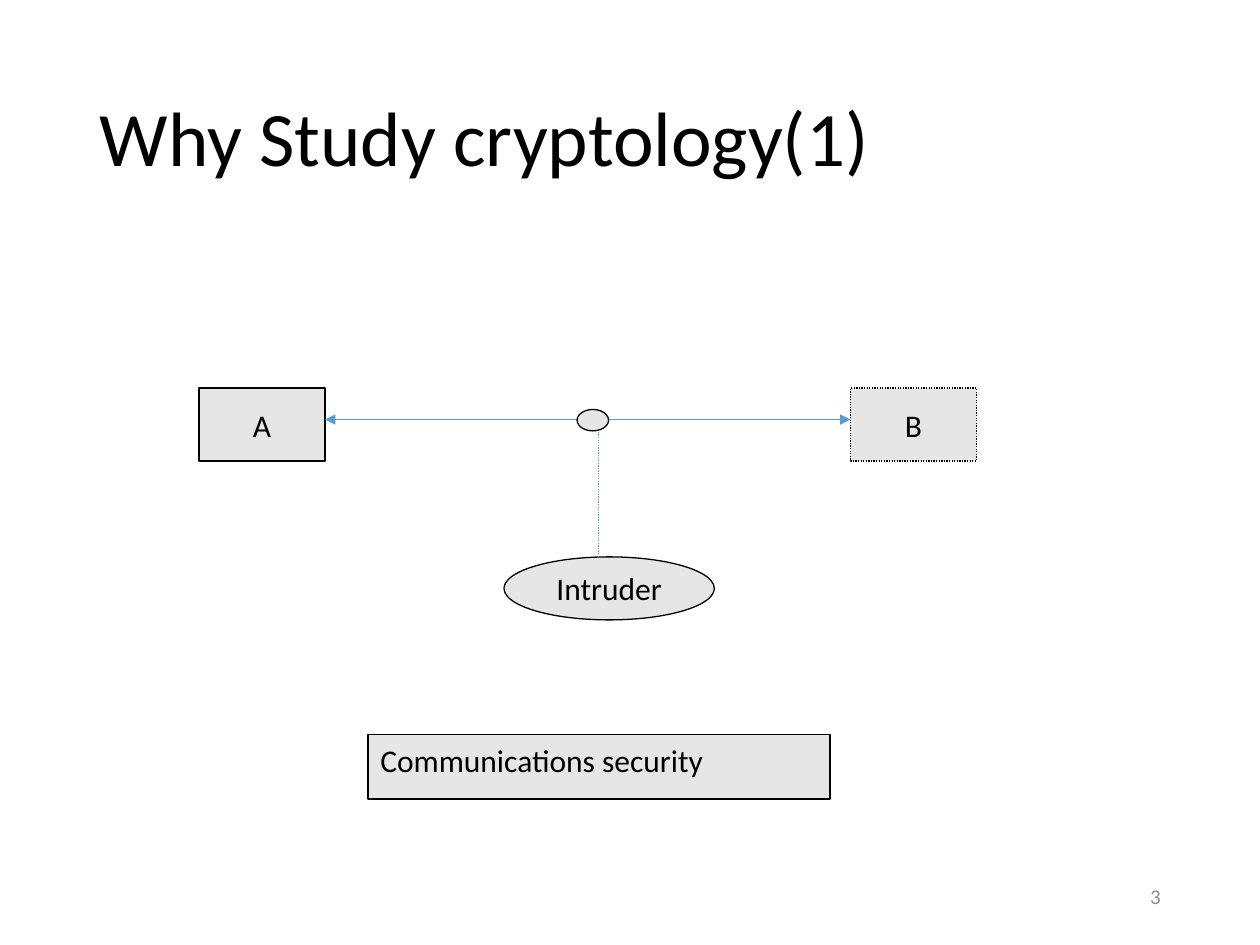
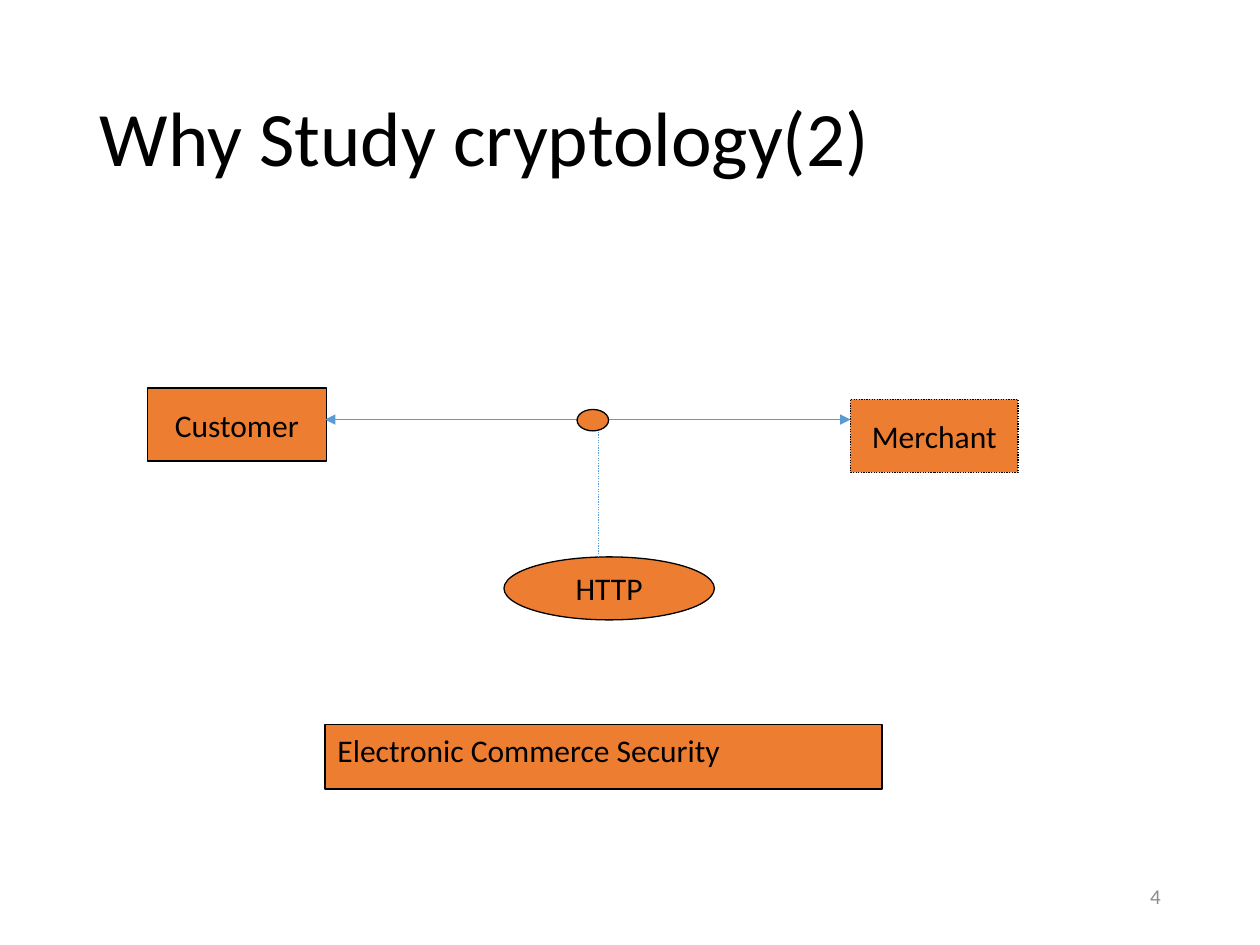
from lxml import etree
from pptx import Presentation
from pptx.dml.color import RGBColor
from pptx.enum.dml import MSO_LINE
from pptx.enum.shapes import MSO_CONNECTOR, MSO_SHAPE
from pptx.enum.text import MSO_ANCHOR, PP_ALIGN
from pptx.oxml import parse_xml
from pptx.oxml.ns import nsdecls, qn
from pptx.util import Inches, Pt

FONT = "Calibri"
BLACK, GREY, BLUE = "000000", "8C8C8C", "5B9BD5"
FIRST_NUMBER = 3

TITLE_AREA = (0.69, 0.4, 8.62, 1.45)
NUMBER_AREA = (7.06, 6.91, 2.25, 0.4)
TAP_AREA = (4.58, 3.25, 0.25, 0.17)
MIDDLE_AREA = (4, 4.42, 1.67, 0.5)
CHANNEL = ((2.58, 3.33), (6.75, 3.33))
TAP_LINE = ((4.75, 4.42), (4.75, 3.42))

SLIDES = [
    {
        "title": "Why Study cryptology(1)",
        "fill": "E7E6E6",
        "sender": ("A", (1.58, 3.08, 1, 0.58)),
        "receiver": ("B", (6.75, 3.08, 1, 0.58)),
        "middle": "Intruder",
        "caption": ("Communications security", (2.92, 5.83, 3.67, 0.51)),
    },
    {
        "title": "Why Study cryptology(2)",
        "fill": "ED7D31",
        "sender": ("Customer", (1.17, 3.08, 1.42, 0.58)),
        "receiver": ("Merchant", (6.75, 3.17, 1.33, 0.58)),
        "middle": "HTTP",
        "caption": ("Electronic Commerce Security", (2.58, 5.75, 4.42, 0.51)),
    },
]


def color(value):
    return RGBColor.from_string(value)


def inches(values):
    return [Inches(value) for value in values]


def style_para(para, size, tint=BLACK, align=PP_ALIGN.LEFT):
    para.alignment = align
    para.font.name = FONT
    para.font.size = Pt(size)
    para.font.color.rgb = color(tint)


def style_line(line, tint, width=0.75, dotted=False):
    line.color.rgb = color(tint)
    line.width = Pt(width)
    if dotted:
        line.dash_style = MSO_LINE.ROUND_DOT


def add_title(page, text):
    title = page.shapes.title
    title.left, title.top, title.width, title.height = inches(TITLE_AREA)
    frame = title.text_frame
    frame.text = text
    frame.vertical_anchor = MSO_ANCHOR.MIDDLE
    para = frame.paragraphs[0]
    para.line_spacing = 0.9
    style_para(para, 44)


def add_number(page, number):
    frame = page.shapes.add_textbox(*inches(NUMBER_AREA)).text_frame
    frame.word_wrap = True
    frame.vertical_anchor = MSO_ANCHOR.MIDDLE
    para = frame.paragraphs[0]
    style_para(para, 12, GREY, PP_ALIGN.RIGHT)
    field = parse_xml(
        f'<a:fld {nsdecls("a")} id="{{B6F15528-21DE-4FAA-801E-634DDDAF4B2B}}" '
        f'type="slidenum"><a:rPr lang="en-US"/><a:t>{number}</a:t></a:fld>'
    )
    para._p.append(field)


def add_node(page, kind, area, fill, text="", dotted=False, width=0.75):
    node = page.shapes.add_shape(kind, *inches(area))
    node.shadow.inherit = False
    node.fill.solid()
    node.fill.fore_color.rgb = color(fill)
    style_line(node.line, BLACK, width, dotted)
    if text:
        frame = node.text_frame
        frame.text = text
        frame.word_wrap = False
        frame.vertical_anchor = MSO_ANCHOR.MIDDLE
        style_para(frame.paragraphs[0], 18, align=PP_ALIGN.CENTER)
    return node


def add_caption(page, text, area, fill):
    frame = add_node(page, MSO_SHAPE.RECTANGLE, area, fill, text, width=1).text_frame
    frame.word_wrap = True
    frame.vertical_anchor = MSO_ANCHOR.TOP
    frame.paragraphs[0].alignment = PP_ALIGN.LEFT


def add_link(page, ends, arrows=False, dotted=False):
    start, end = ends
    link = page.shapes.add_connector(MSO_CONNECTOR.STRAIGHT, *inches(start + end))
    style_line(link.line, BLUE, dotted=dotted)
    if arrows:
        outline = link.line._get_or_add_ln()
        for tag in ("a:headEnd", "a:tailEnd"):
            etree.SubElement(outline, qn(tag), type="triangle")
    etree.SubElement(link._element.spPr, qn("a:effectLst"))


def build_slide(deck, number, content):
    page = deck.slides.add_slide(deck.slide_layouts[5])
    fill = content["fill"]
    sender, sender_area = content["sender"]
    receiver, receiver_area = content["receiver"]
    add_number(page, number)
    add_title(page, content["title"])
    add_node(page, MSO_SHAPE.RECTANGLE, sender_area, fill, sender)
    add_node(page, MSO_SHAPE.RECTANGLE, receiver_area, fill, receiver, dotted=True)
    add_link(page, CHANNEL, arrows=True)
    add_node(page, MSO_SHAPE.OVAL, TAP_AREA, fill)
    add_node(page, MSO_SHAPE.OVAL, MIDDLE_AREA, fill, content["middle"])
    add_link(page, TAP_LINE, dotted=True)
    add_caption(page, *content["caption"], fill)


def main():
    deck = Presentation()
    deck.slide_width, deck.slide_height = Inches(10), Inches(7.5)
    deck.element.set("firstSlideNum", str(FIRST_NUMBER))
    for number, content in enumerate(SLIDES, FIRST_NUMBER):
        build_slide(deck, number, content)
    deck.save("out.pptx")


if __name__ == "__main__":
    main()
